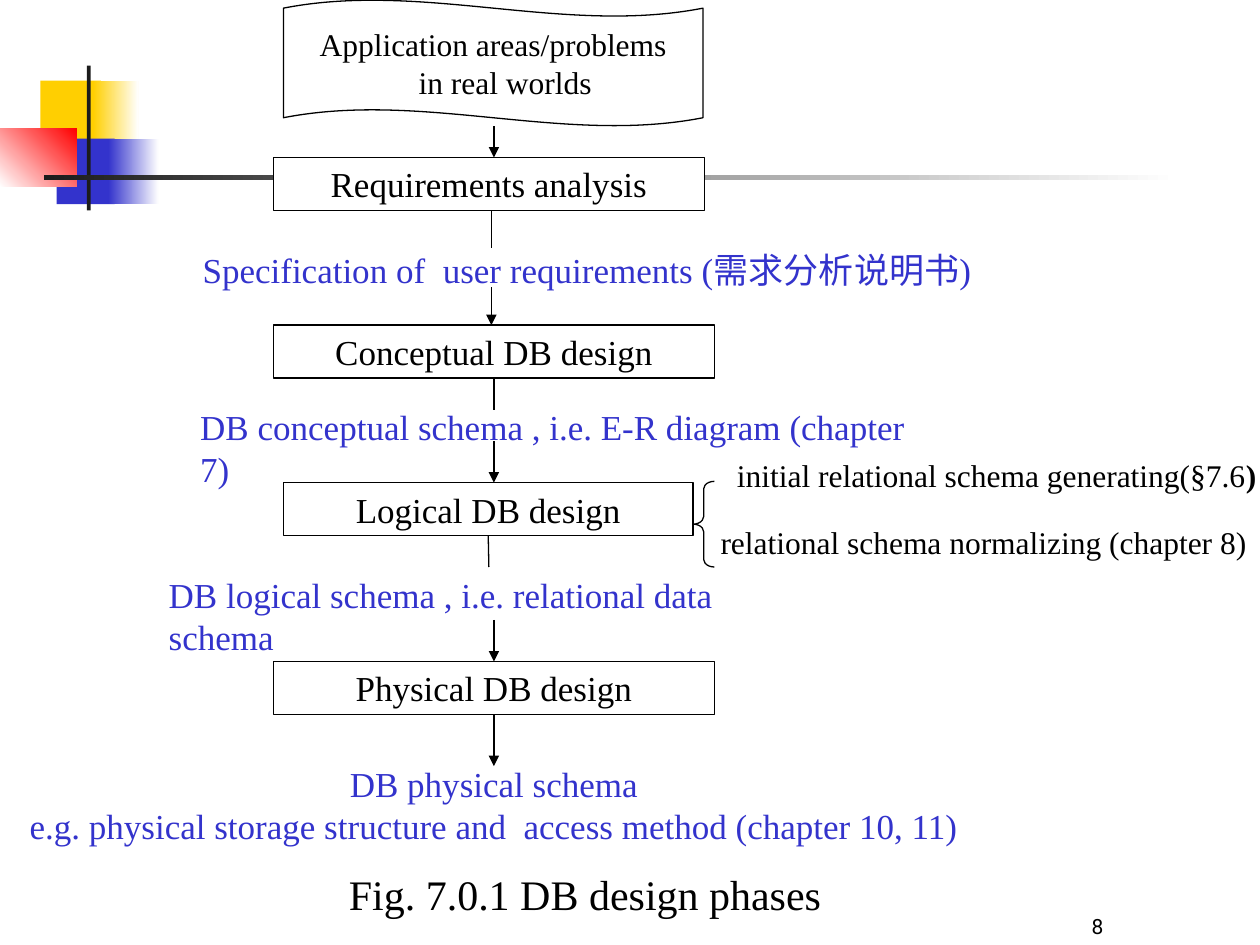
import pptx
import pptx.util
import pptx.dml.color
import pptx.enum.shapes
import pptx.enum.text
import pptx.oxml
import pptx.oxml.ns

Inches = pptx.util.Inches
Pt = pptx.util.Pt
SHAPE = pptx.enum.shapes.MSO_SHAPE
ALIGN = pptx.enum.text.PP_ALIGN
ANCHOR = pptx.enum.text.MSO_ANCHOR
AUTO_SIZE = pptx.enum.text.MSO_AUTO_SIZE

BLACK, WHITE, BLUE = "000000", "FFFFFF", "3333CC"
YELLOW, RED, CHARCOAL = "FFCF01", "FF0000", "1C1C1C"
SERIF = "Times New Roman"
TOP, BOTTOM = 0, 2


def rgb(value):
    return pptx.dml.color.RGBColor.from_string(value)


def within(box, left, top, width, height):
    return box[0] + left, box[1] + top, width, height


def apply(target, values):
    for key, value in values.items():
        setattr(target, key, value)


def write(shape, lines, size, color=BLACK, align=ALIGN.LEFT, font=SERIF, **frame_format):
    frame = shape.text_frame
    apply(frame, {"word_wrap": False, **frame_format})
    for number, line in enumerate(lines):
        paragraph = frame.paragraphs[0] if number == 0 else frame.add_paragraph()
        paragraph.alignment = align
        run = paragraph.add_run()
        run.text = line
        apply(run.font, {"size": Pt(size), "name": font})
        run.font.color.rgb = rgb(color)
    return frame


def add_label(slide, place, lines, size, color=BLACK, **options):
    label = slide.shapes.add_textbox(*map(Inches, place))
    options.setdefault("auto_size", AUTO_SIZE.SHAPE_TO_FIT_TEXT)
    return write(label, lines, size, color, **options)


def add_outline(slide, kind, place, fill=None):
    outline = slide.shapes.add_shape(kind, *map(Inches, place))
    outline.shadow.inherit = False
    if fill:
        outline.fill.solid()
        outline.fill.fore_color.rgb = rgb(fill)
    else:
        outline.fill.background()
    outline.line.color.rgb = rgb(BLACK)
    outline.line.width = Pt(0.75)
    return outline


def add_link(slide, x, start, end, arrow=False, source=None, target=None):
    link = slide.shapes.add_connector(
        pptx.enum.shapes.MSO_CONNECTOR.STRAIGHT, *map(Inches, (x, start, x, end))
    )
    link.line.color.rgb = rgb(BLACK)
    link.line.width = Pt(0.75)
    if arrow:
        head = pptx.oxml.parse_xml(
            f'<a:tailEnd {pptx.oxml.ns.nsdecls("a")} type="triangle"/>'
        )
        link.line._get_or_add_ln().append(head)
    link._element.spPr.append(
        pptx.oxml.parse_xml(f'<a:effectLst {pptx.oxml.ns.nsdecls("a")}/>')
    )
    if source:
        link.begin_connect(source, BOTTOM)
    if target:
        link.end_connect(target, TOP)


def draw_ornament(slide, box):
    tiles = [
        ((0.32, 0.12, 0.48, 0.52), (YELLOW,), 0),
        ((0.74, 0.12, 0.36, 0.52), (YELLOW, WHITE), 0),
        ((0.45, 0.58, 0.46, 0.52), (BLUE,), 0),
        ((0.86, 0.58, 0.4, 0.52), (BLUE, WHITE), 0),
        ((0, 0.5, 0.61, 0.46), (WHITE, RED), 45),
        ((0.69, 0, 0.03, 1.15), (CHARCOAL,), 0),
        ((0.35, 0.87, 9, 0.04), (CHARCOAL, WHITE), 0),
    ]
    for place, colors, angle in tiles:
        tile = slide.shapes.add_shape(
            SHAPE.RECTANGLE, *map(Inches, within(box, *place))
        )
        tile.shadow.inherit = False
        tile.line.fill.background()
        if len(colors) == 1:
            tile.fill.solid()
            tile.fill.fore_color.rgb = rgb(colors[0])
        else:
            tile.fill.gradient()
            tile.fill.gradient_angle = angle
            for stop, color in zip(tile.fill.gradient_stops, colors):
                stop.color.rgb = rgb(color)


def draw_problem_source(slide, box):
    banner = add_outline(slide, SHAPE.WAVE, box)
    banner.adjustments[0] = 0.065
    frame = write(
        banner, ["Application areas/problems", "in real worlds"], 18,
        align=ALIGN.CENTER, vertical_anchor=ANCHOR.MIDDLE,
    )
    frame.paragraphs[1]._p.get_or_add_pPr().set("marL", str(Inches(0.19)))


def draw_phases(slide, box):
    phases = {}
    for title, left, top, width in [
        ("Requirements analysis", 2.04, 1.25, 3.42),
        ("Conceptual DB design", 2.04, 2.58, 3.5),
        ("Logical DB design", 2.12, 3.83, 3.25),
        ("Physical DB design", 2.04, 5.25, 3.5),
    ]:
        place = within(box, left, top, width, 0.42)
        phase = add_outline(slide, SHAPE.RECTANGLE, place, WHITE)
        write(phase, [title], 20, align=ALIGN.CENTER, vertical_anchor=ANCHOR.MIDDLE)
        phases[title.split()[0]] = phase

    for place, lines, align in [
        ((1.38, 1.92, 6.43, 0.44),
         ["Specification of  user requirements (需求分析说明书)"], ALIGN.LEFT),
        ((1.36, 3.17, 6.09, 0.44),
         ["DB conceptual schema , i.e. E-R diagram (chapter 7)"], ALIGN.LEFT),
        ((1.11, 4.5, 5.42, 0.44),
         ["DB logical schema , i.e. relational data schema"], ALIGN.LEFT),
        ((0, 6, 7.58, 0.77),
         ["DB physical schema",
          "e.g. physical storage structure and  access method (chapter 10, 11)"],
         ALIGN.CENTER),
    ]:
        add_label(slide, within(box, *place), lines, 20, BLUE, align=align)

    for x, start, end, arrow, source, target in [
        (3.79, 1, 1.25, True, None, None),
        (3.77, 1.67, 1.97, False, None, None),
        (3.77, 2.28, 2.58, True, None, None),
        (3.79, 3, 3.25, False, "Conceptual", None),
        (3.79, 3.5, 3.83, True, None, None),
        (3.75, 4.25, 4.5, False, "Logical", None),
        (3.79, 4.92, 5.25, True, None, "Physical"),
        (3.79, 5.67, 6.08, True, "Physical", None),
    ]:
        add_link(slide, box[0] + x, box[1] + start, box[1] + end, arrow,
                 phases.get(source), phases.get(target))


def draw_logical_steps(slide, box):
    brace = add_outline(slide, SHAPE.LEFT_BRACE, within(box, 0, 0.25, 0.17, 0.68))
    brace.adjustments[0] = 0.35
    generating = add_label(
        slide, within(box, 0.25, 0, 4.32, 0.4),
        ["initial relational schema generating(§7.6"], 18,
    )
    closing = generating.paragraphs[0].add_run()
    closing.text = ")"
    apply(closing.font, {"size": Pt(18), "name": SERIF, "bold": True})
    closing.font.color.rgb = rgb(BLACK)
    add_label(slide, within(box, 0.12, 0.53, 4.38, 0.4),
              ["relational schema normalizing (chapter 8)"], 18)


def draw_footer(slide, box):
    add_label(slide, within(box, 0, 0, 3.95, 0.5), ["Fig. 7.0.1 DB design phases"], 24)
    add_label(
        slide, within(box, 5, 0.16, 2.08, 0.5), ["8"], 12, font="Roboto",
        align=ALIGN.CENTER, vertical_anchor=ANCHOR.BOTTOM,
        word_wrap=True, auto_size=AUTO_SIZE.NONE,
    )


def main():
    deck = pptx.Presentation()
    apply(deck, {"slide_width": Inches(10), "slide_height": Inches(7.5)})
    slide = deck.slides.add_slide(deck.slide_layouts[6])
    draw_ornament(slide, (0, 0.52, 9.35, 1.15))
    draw_problem_source(slide, (2.25, 0, 3.33, 1))
    draw_phases(slide, (0.13, 0, 7.81, 6.77))
    draw_logical_steps(slide, (5.5, 3.57, 4.57, 0.93))
    draw_footer(slide, (2.67, 6.84, 7.08, 0.66))
    deck.save("out.pptx")


if __name__ == "__main__":
    main()
